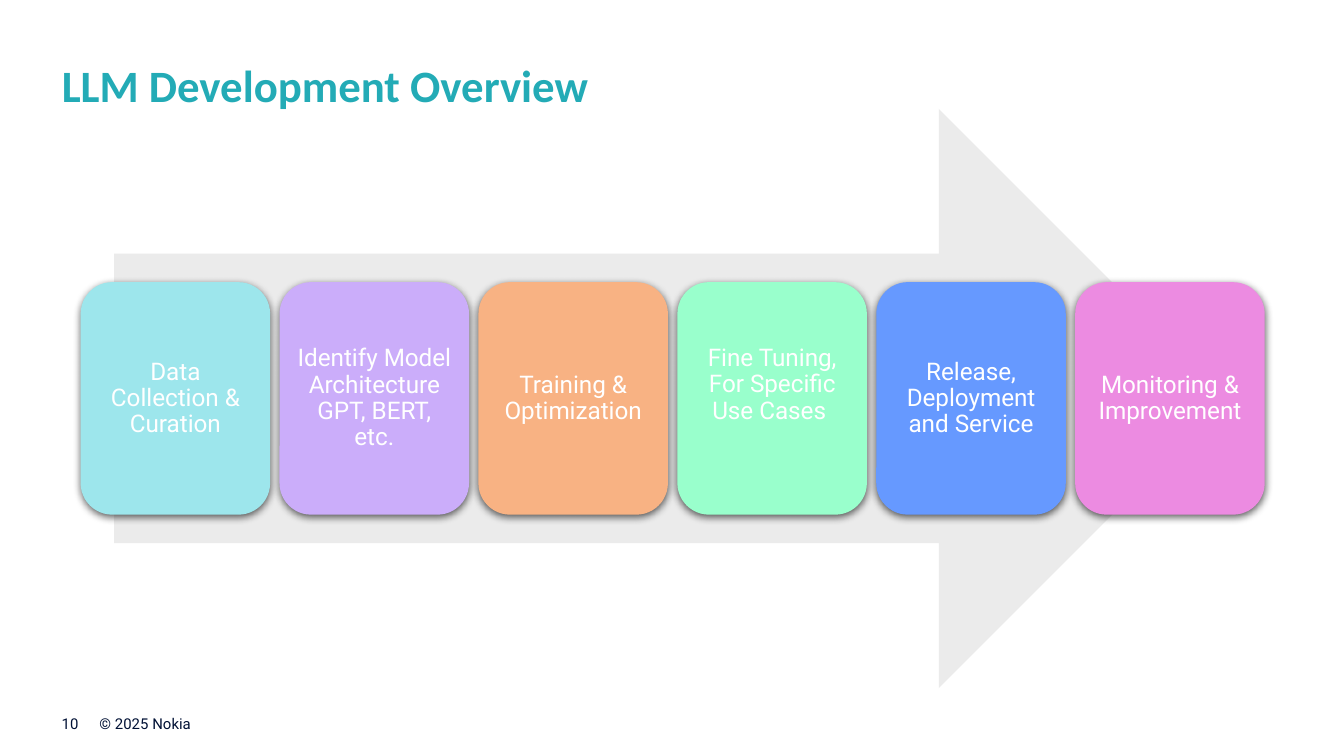
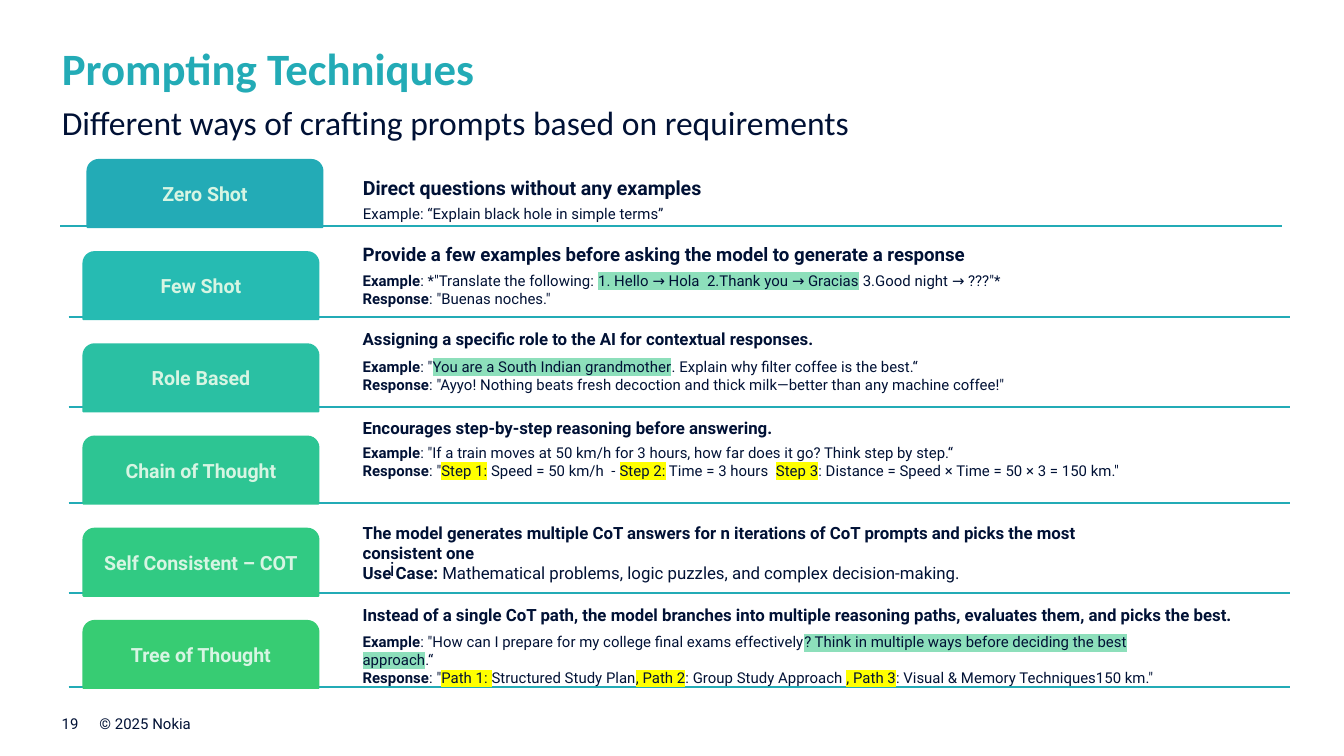
from lxml.etree import SubElement
from pptx import Presentation
from pptx.dml.color import RGBColor
from pptx.enum.shapes import MSO_CONNECTOR, MSO_SHAPE
from pptx.enum.text import MSO_ANCHOR, PP_ALIGN
from pptx.oxml.ns import qn
from pptx.util import Inches, Pt

# Shared look
WIDTH = Inches(10)
HEIGHT = WIDTH * 9 // 16
COLORS = {"teal": "23ABB6", "navy": "001135", "white": "FFFFFF", "arrow": "EBEBEB",
          "tab_text": "D7F5E3", "green": "8DDFBB", "yellow": "FFFF00", "shadow": "000000"}
HEAD, BODY = "Calibri", "Roboto"
COPYRIGHT = "© 2025 Nokia"

# Slide 1: label, fill, extra space below the label
STAGES = [
    ("Data Collection & Curation", "9DE6EC", 0),
    ("Identify Model Architecture\nGPT, BERT, etc.", "CBADFA", 0),
    ("Training & Optimization", "F8B283", 0),
    ("Fine Tuning, For Specific Use Cases ", "99FFCC", 0.2),
    ("Release, Deployment and Service", "6699FF", 0),
    ("Monitoring & Improvement", "EC8BE1", 0),
]

# Slide 2: label, fill, y of the rule below
TECHNIQUES = [
    ("Zero Shot", "23ABB6", 1.68),
    ("Few Shot", "26BBB2", 2.36),
    ("Role Based", "2AC0A3", 3.03),
    ("Chain of Thought", "2DC593", 3.74),
    ("Self Consistent – COT", "31CA83", 4.41),
    ("Tree of Thought", "37CC73", 5.11),
]

# Headings beside the tabs: top, width, height, size, text
HEADINGS = [
    (1.76, 5, 0.27, 10, "Provide a few examples before asking the model to generate a response"),
    (2.4, 5, 0.25, 9, "Assigning a specific role to the AI for contextual responses."),
    (3.06, 5, 0.25, 9, "Encourages step-by-step reasoning before answering."),
    (3.84, 5.65, 0.4, 9, "The model generates multiple CoT answers for n iterations of CoT prompts "
                         "and picks the most consistent one"),
    (4.45, 6.89, 0.25, 9, "Instead of a single CoT path, the model branches into multiple reasoning "
                          "paths, evaluates them, and picks the best."),
]

# Details: top, width, height, size, paragraphs of (text, style) runs
EXAMPLE, RESPONSE = ("Example", "bold"), ("Response", "bold")
DETAILS = [
    (1.97, 5.93, 0.37, 8, [
        [EXAMPLE, (': *"Translate the following: ', ""),
         ("1. Hello → Hola  2.Thank you → Gracias", "green"), (' 3.Good night → ???"*', "")],
        [RESPONSE, (': "Buenas noches."', "")]]),
    (2.61, 5.28, 0.5, 8, [
        [EXAMPLE, (': "', ""), ("You are a South Indian grandmother", "green"),
         (". Explain why filter coffee is the best.“", "")],
        [RESPONSE, (': "Ayyo! Nothing beats fresh decoction and thick milk—better than '
                    'any machine coffee!"', "")]]),
    (3.25, 6.2, 0.37, 8, [
        [EXAMPLE, (': "If a train moves at 50 km/h for 3 hours, how far does it go? '
                   'Think step by step.“', "")],
        [RESPONSE, (': "', ""), ("Step 1:", "yellow"), (" Speed = 50 km/h  - ", ""),
         ("Step 2:", "yellow"), (" Time = 3 hours  ", ""), ("Step 3", "yellow"),
         (': Distance = Speed × Time = 50 × 3 = 150 km."', "")]]),
    (4.14, 5.65, 0.25, 9, [
        [("Use Case:", "bold"),
         (" Mathematical problems, logic puzzles, and complex decision-making.", "")]]),
    (4.66, 6.2, 0.5, 8, [
        [EXAMPLE, (': "How can I prepare for my college final exams effectively', ""),
         ("? Think in multiple ways before deciding the best approach", "green"), (".“", "")],
        [RESPONSE, (': "', ""), ("Path 1: ", "yellow"), ("Structured Study Plan", ""),
         (", Path 2", "yellow"), (": Group Study Approach ", ""), (", Path 3", "yellow"),
         (': Visual & Memory Techniques150 km."', "")]]),
]


def rgb(color):
    return RGBColor.from_string(COLORS.get(color, color))


def apply(obj, values):
    for name, value in values.items():
        setattr(obj, name, value)


def set_frame(tf, inset, **values):
    sides = ("left", "top", "right", "bottom")
    insets = {f"margin_{side}": Inches(v) for side, v in zip(sides, inset)}
    apply(tf, {"word_wrap": True, **insets, **values})


def add_run(p, text, style, size, color, font):
    for i, line in enumerate(text.split("\n")):
        if i:
            p.add_line_break()
        r = p.add_run()
        r.text = line
        apply(r.font, {"size": Pt(size), "bold": style == "bold", "name": font})
        r.font.color.rgb = rgb(color)
        if style in ("green", "yellow"):
            rpr = r.font._element
            mark = SubElement(rpr, qn("a:highlight"))
            SubElement(mark, qn("a:srgbClr"), val=COLORS[style])
            rpr.find(qn("a:solidFill")).addnext(mark)


def write(tf, paragraphs, size, color="navy", font=BODY, **values):
    for i, runs in enumerate(paragraphs):
        p = tf.add_paragraph() if i else tf.paragraphs[0]
        apply(p, values)
        for text, style in runs:
            add_run(p, text, style, size, color, font)


def add_text(s, box, inset=(0.1, 0.05, 0.1, 0.05), **values):
    tf = s.shapes.add_textbox(*map(Inches, box)).text_frame
    set_frame(tf, inset, **values)
    return tf


def add_block(s, kind, box, fill):
    sp = s.shapes.add_shape(kind, *map(Inches, box))
    sp.shadow.inherit = False
    sp.fill.solid()
    sp.fill.fore_color.rgb = rgb(fill)
    sp.line.fill.background()
    return sp


def add_label(sp, text, size, color, inset, style=""):
    set_frame(sp.text_frame, inset, vertical_anchor=MSO_ANCHOR.MIDDLE)
    write(sp.text_frame, [[(text, style)]], size, color,
          alignment=PP_ALIGN.CENTER, line_spacing=0.9)


def add_shadow(sp):
    effects = sp._element.spPr.find(qn("a:effectLst"))
    shadow = SubElement(effects, qn("a:outerShdw"), blurRad=str(Pt(4.5)), dist=str(Pt(1.5)),
                        dir="5400000", algn="ctr", rotWithShape="0")
    color = SubElement(shadow, qn("a:srgbClr"), val=COLORS["shadow"])
    SubElement(color, qn("a:alpha"), val="63000")


def add_rule(s, x, y, width):
    line = s.shapes.add_connector(MSO_CONNECTOR.STRAIGHT, Inches(x), Inches(y),
                                  Inches(x + width), Inches(y))
    line.line.width = Pt(1)
    line.line.color.rgb = rgb("teal")
    SubElement(line._element.spPr, qn("a:effectLst"))


def new_slide(prs, number, title, title_top):
    s = prs.slides.add_slide(prs.slide_layouts[6])
    for x, width, text in ((0.46, 0.13, number), (0.74, 0.69, COPYRIGHT)):
        tf = add_text(s, (x, 5.32, width, 0.13), (0,) * 4,
                      vertical_anchor=MSO_ANCHOR.BOTTOM, word_wrap=False)
        write(tf, [[(text, "")]], 8)
    tf = add_text(s, (0.46, title_top, 9.09, 0.37), (0,) * 4)
    write(tf, [[(title, "bold")]], 24, "teal", HEAD)
    return s


def build_overview(prs):
    s = new_slide(prs, "10", "LLM Development Overview", 0.43)
    add_block(s, MSO_SHAPE.RIGHT_ARROW, (0.85, 0.81, 8.29, 4.31), "arrow")
    # Stage cards at an equal pitch
    left, gap, width = 0.6, 0.07, 1.41
    for i, (text, fill, below) in enumerate(STAGES):
        box = (left + i * (width + gap), 2.1, width, 1.73)
        sp = add_block(s, MSO_SHAPE.ROUNDED_RECTANGLE, box, fill)
        add_shadow(sp)
        add_label(sp, text, 13, "white", (0.05, 0.05, 0.05, 0.05 + below))


def build_techniques(prs):
    s = new_slide(prs, "19", "Prompting Techniques", 0.3)
    tf = add_text(s, (0.46, 0.76, 9.09, 0.37), (0,) * 4)
    write(tf, [[("Different ways of crafting prompts based on requirements", "")]], 18, font=HEAD)

    # Rules, then tabs; the first row sits slightly apart from the rest
    for i, (_, _, y) in enumerate(TECHNIQUES):
        add_rule(s, 0.51 if i else 0.45, y, 9.09)
    top, last = 1.19, 4.62
    pitch = (last - top) / (len(TECHNIQUES) - 1)
    for i, (text, fill, _) in enumerate(TECHNIQUES):
        box = (0.62 if i else 0.65, top + i * pitch, 1.75, 0.5)
        sp = add_block(s, MSO_SHAPE.ROUND_2_SAME_RECTANGLE, box, fill)
        sp.line.width = Pt(1)
        sp.line.color.rgb = rgb(fill)
        add_label(sp, text, 10.5, "tab_text", (0.02,) * 4, "bold")

    # First row text and the lone letter
    tf = add_text(s, (2.68, 1.19, 6.99, 0.49), (0.02,) * 4, vertical_anchor=MSO_ANCHOR.BOTTOM)
    write(tf, [[("Direct questions without any examples", "bold")]], 10.5,
          line_spacing=0.9, space_after=Pt(4))
    p = tf.add_paragraph()
    p.line_spacing = 0.9
    add_run(p, "Example: “Explain black hole in simple terms”", "", 8, "navy", BODY)
    tf = add_text(s, (2.88, 4.25, 6.72, 0.09), (0.02,) * 4, vertical_anchor=MSO_ANCHOR.BOTTOM)
    write(tf, [[("i", "")]], 10.5, line_spacing=0.9)

    # Headings and details of the other rows
    headings = [(*row, [[(text, "bold")]]) for *row, text in HEADINGS]
    for y, width, height, size, paragraphs in headings + DETAILS:
        write(add_text(s, (2.6, y, width, height)), paragraphs, size)


def main():
    prs = Presentation()
    apply(prs, {"slide_width": WIDTH, "slide_height": HEIGHT})
    build_overview(prs)
    build_techniques(prs)
    prs.save("out.pptx")


if __name__ == "__main__":
    main()
